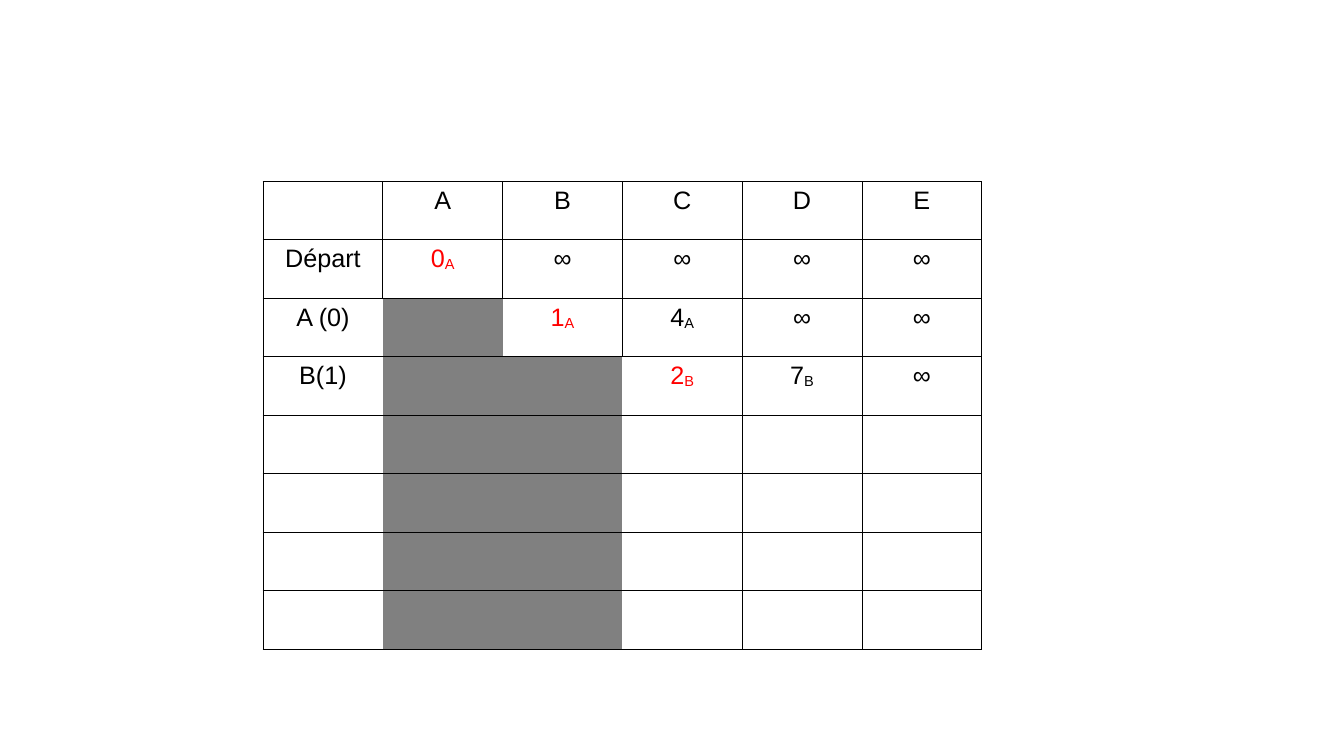
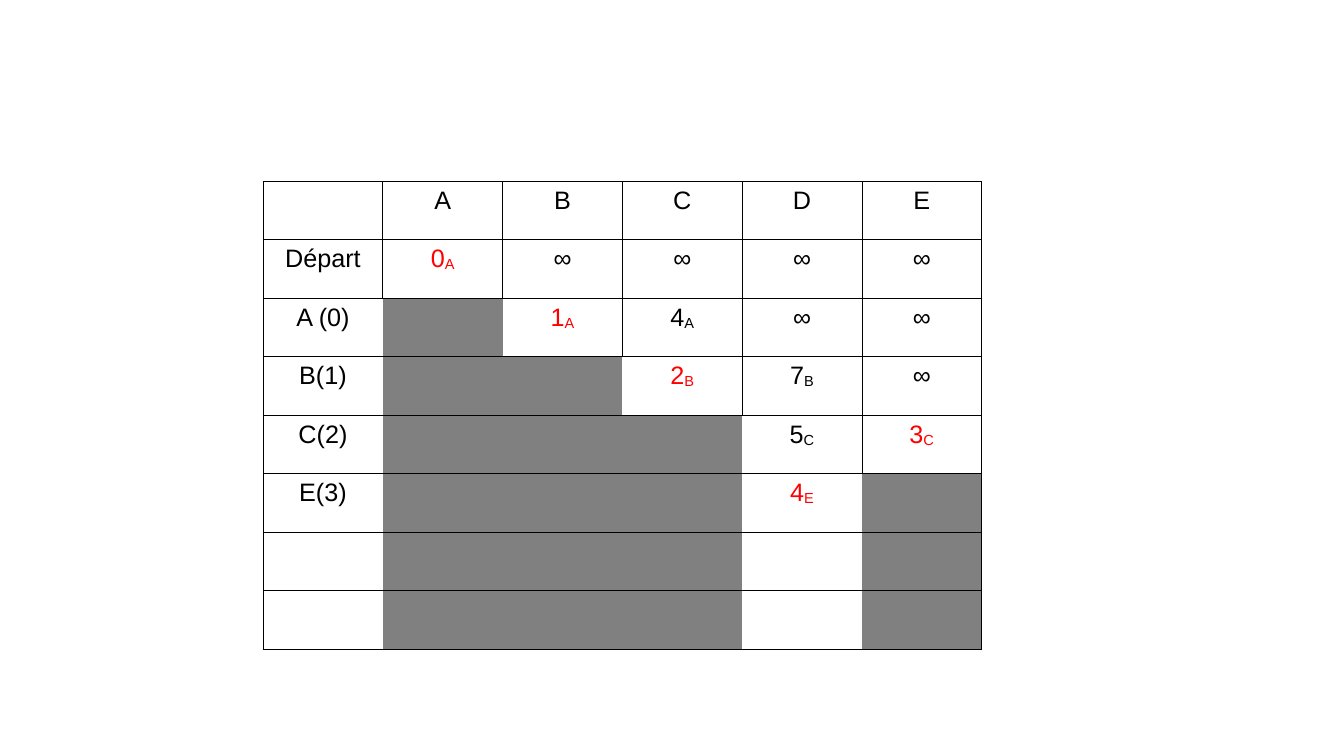
from dataclasses import dataclass
from lxml import etree
from pptx import Presentation, util as u
from pptx.dml.color import RGBColor
from pptx.enum import text
from pptx.oxml.ns import qn


@dataclass(frozen=True)
class Theme:
    font: str = "Arial"
    size: float = 18
    ink: str = "000000"
    chosen: str = "FF0000"
    closed: str = "808080"
    rule_width: float = 0.57
    subscript: int = -8000
    plain_table: str = "{2D5ABB26-0587-4C30-8999-92F81FD0307C}"


@dataclass(frozen=True)
class Step:
    label: str
    closes: str  # vertex whose column is shaded from this row on
    chosen: str  # vertex with the smallest distance in this row
    distances: dict  # vertex -> (distance, predecessor)


# Content: the rows of Dijkstra's algorithm, in order
VERTICES = "ABCDE"
ROWS = 8
INFINITE = ("∞", "")
STEPS = [
    Step("Départ", "", "A", {"A": ("0", "A")}),
    Step("A (0)", "A", "B", {"B": ("1", "A"), "C": ("4", "A")}),
    Step("B(1)", "B", "C", {"C": ("2", "B"), "D": ("7", "B")}),
    Step("C(2)", "C", "E", {"D": ("5", "C"), "E": ("3", "C")}),
    Step("E(3)", "E", "D", {"D": ("4", "E")}),
]


class Deck:
    def __init__(self, theme):
        self.theme = theme
        self.prs = Presentation()
        self.prs.slide_width, self.prs.slide_height = u.Cm(33.87), u.Cm(19.05)
        self.slide = None

    def add_slide(self):
        self.slide = self.prs.slides.add_slide(self.prs.slide_layouts[6])

    def label_cell(self, cell, value, predecessor="", color=None):
        """Centred value, followed by its predecessor as a subscript."""
        paragraph = cell.text_frame.paragraphs[0]
        paragraph.alignment = text.PP_ALIGN.CENTER
        for part, baseline in ((value, 0), (predecessor, self.theme.subscript)):
            if not part:
                continue
            run = paragraph.add_run()
            run.text = part
            style = {"name": self.theme.font, "size": u.Pt(self.theme.size)}
            for name, setting in style.items():
                setattr(run.font, name, setting)
            run.font.color.rgb = RGBColor.from_string(color or self.theme.ink)
            if baseline:
                run.font._element.set("baseline", str(baseline))

    def format_cell(self, cell, shaded, sides):
        """Margins, shading, and a rule on each of the given sides."""
        margins = {"margin_left": 0.1, "margin_right": 0.1,
                   "margin_top": 0.13, "margin_bottom": 0.13}
        for name, length in margins.items():
            setattr(cell, name, u.Cm(length))
        if shaded:
            cell.fill.solid()
            cell.fill.fore_color.rgb = RGBColor.from_string(self.theme.closed)
        else:
            cell.fill.background()
        properties = cell._tc.get_or_add_tcPr()
        for position, side in enumerate("LRTB"):
            line = etree.Element(qn(f"a:ln{side}"), w=str(int(u.Pt(self.theme.rule_width))))
            if side in sides:
                fill = etree.SubElement(line, qn("a:solidFill"))
                etree.SubElement(fill, qn("a:srgbClr"), val=self.theme.ink)
            else:
                etree.SubElement(line, qn("a:noFill"))
            properties.insert(position, line)

    def distance_table(self, steps):
        columns = len(VERTICES) + 1
        table = self.slide.shapes.add_table(
            ROWS, columns, u.Cm(6.63), u.Cm(4.57), u.Cm(18.11), u.Cm(11.79)).table
        table.first_row = table.horz_banding = False
        table._tbl.tblPr.find(qn("a:tableStyleId")).text = self.theme.plain_table

        # Header row
        for column, vertex in enumerate(VERTICES, 1):
            self.label_cell(table.cell(0, column), vertex)

        # One row per step; a closed vertex stays closed below
        closed_by_row = [set()]
        for row in range(1, ROWS):
            closed = set(closed_by_row[-1])
            if row <= len(steps):
                step = steps[row - 1]
                closed.update(step.closes)
                self.label_cell(table.cell(row, 0), step.label)
                for column, vertex in enumerate(VERTICES, 1):
                    if vertex not in closed:
                        color = self.theme.chosen if vertex == step.chosen else None
                        self.label_cell(table.cell(row, column),
                                        *step.distances.get(vertex, INFINITE), color=color)
            closed_by_row.append(closed)

        # Shading; vertical rules stop at shaded cells, except on the outer edge
        for row, closed in enumerate(closed_by_row):
            shaded = [False] + [vertex in closed for vertex in VERTICES]
            for column in range(columns):
                sides = "TB"
                if column == 0 or not any(shaded[column - 1:column + 1]):
                    sides += "L"
                if column == columns - 1 or not any(shaded[column:column + 2]):
                    sides += "R"
                self.format_cell(table.cell(row, column), shaded[column], sides)


def main():
    deck = Deck(Theme())
    for steps_done in (3, 5):
        deck.add_slide()
        deck.distance_table(STEPS[:steps_done])
    deck.prs.save("out.pptx")


if __name__ == "__main__":
    main()
